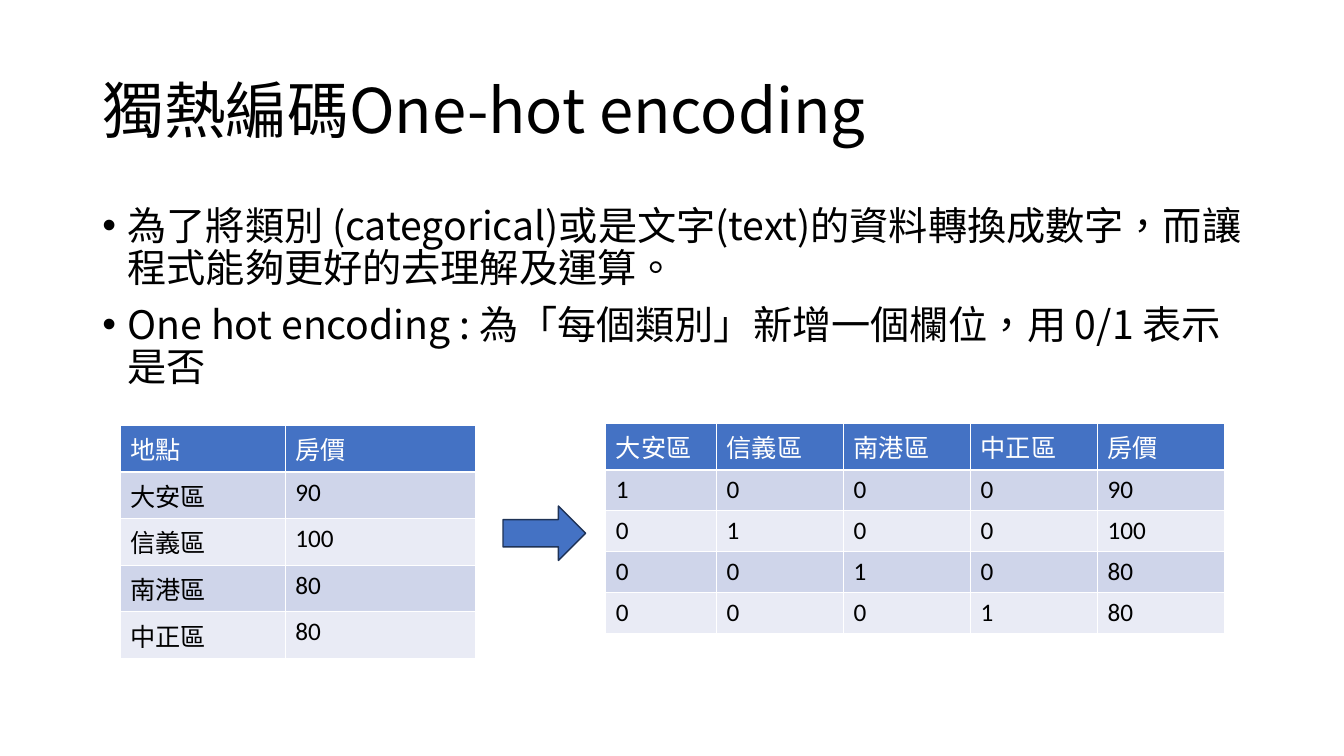
from dataclasses import dataclass

import lxml.etree
import pptx
import pptx.dml.color
import pptx.enum.shapes
import pptx.enum.text
import pptx.oxml.ns
import pptx.util

CELL = pptx.util.Inches(1 / 12)  # The slide is a grid of 160 columns and 90 rows
HEADING_FONT, TABLE_FONT = "Noto Sans CJK SC", "Calibri"
BLACK, WHITE, BLUE, NAVY = "000000", "FFFFFF", "4472C4", "1E3256"
BANDS = ("CFD5EA", "E9EBF5")
ROW_HEIGHT = 4.87

TITLE = "獨熱編碼One-hot encoding"
POINTS = (
    "為了將類別 (categorical)或是文字(text)的資料轉換成數字，而讓程式能夠更好的去理解及運算。",
    "One hot encoding : 為「每個類別」新增一個欄位，用 0/1 表示是否",
)
PRICES = {"大安區": "90", "信義區": "100", "南港區": "80", "中正區": "80"}


@dataclass(frozen=True)
class Box:
    left: float
    top: float
    width: float
    height: float


@dataclass(frozen=True)
class PriceTable:
    left: float
    top: float
    columns: list[float]
    rows: list[list[str]]


TABLES = (
    PriceTable(14.28, 50.64, [19.68, 22.68],
               [["地點", "房價"], *([place, price] for place, price in PRICES.items())]),
    PriceTable(72.12, 50.4, [13.2] + [15.12] * 4,
               [[*PRICES, "房價"]]
               + [[*("1" if column == place else "0" for column in PRICES), price]
                  for place, price in PRICES.items()]),
)


def grid(count: float) -> int:
    return round(count * CELL)


def rgb(value: str) -> pptx.dml.color.RGBColor:
    return pptx.dml.color.RGBColor.from_string(value)


def place_on_grid(sp, box: Box) -> None:
    sp.left, sp.top = grid(box.left), grid(box.top)
    sp.width, sp.height = grid(box.width), grid(box.height)


def add_run(p, text: str, size: float, font: str, color: str) -> None:
    r = p.add_run()
    r.text = text
    r.font.size = pptx.util.Pt(size)
    r.font.name = font
    r.font.bold = False
    r.font.color.rgb = rgb(color)
    props = r._r.get_or_add_rPr()
    props.set("lang", "zh-TW")
    if font == HEADING_FONT:
        latin = props.find(pptx.oxml.ns.qn("a:latin"))
        east_asian = lxml.etree.Element(pptx.oxml.ns.qn("a:ea"))
        east_asian.set("typeface", font)
        latin.addnext(east_asian)


def add_bullet(p) -> None:
    """Give the paragraph a round bullet with a quarter-inch hanging indent."""
    props = p._p.get_or_add_pPr()
    indent = pptx.util.Inches(0.25)
    props.set("marL", str(indent))
    props.set("indent", str(-indent))
    font = lxml.etree.SubElement(props, pptx.oxml.ns.qn("a:buFont"))
    font.set("typeface", "Arial")
    bullet = lxml.etree.SubElement(props, pptx.oxml.ns.qn("a:buChar"))
    bullet.set("char", "•")


def fill_title(sp) -> None:
    place_on_grid(sp, Box(11, 4.8, 138, 17.4))
    tf = sp.text_frame
    tf.auto_size = pptx.enum.text.MSO_AUTO_SIZE.NONE
    tf.vertical_anchor = pptx.enum.text.MSO_ANCHOR.MIDDLE
    p = tf.paragraphs[0]
    p.alignment = pptx.enum.text.PP_ALIGN.LEFT
    p.line_spacing = 0.9
    add_run(p, TITLE, 44, HEADING_FONT, BLACK)


def fill_body(sp) -> None:
    place_on_grid(sp, Box(11, 24, 138, 57.1))
    tf = sp.text_frame
    tf.auto_size = pptx.enum.text.MSO_AUTO_SIZE.NONE
    for index, point in enumerate(POINTS):
        p = tf.add_paragraph() if index else tf.paragraphs[0]
        add_bullet(p)
        p.line_spacing = 0.9
        p.space_before = pptx.util.Pt(10 if index else 0)
        add_run(p, point, 28, HEADING_FONT, BLACK)


def add_price_table(s, spec: PriceTable) -> None:
    table = s.shapes.add_table(
        len(spec.rows), len(spec.columns), grid(spec.left), grid(spec.top),
        grid(sum(spec.columns)), grid(ROW_HEIGHT * len(spec.rows))).table
    for column, width in zip(table.columns, spec.columns):
        column.width = grid(width)
    for i, values in enumerate(spec.rows):
        table.rows[i].height = grid(ROW_HEIGHT)
        for j, value in enumerate(values):
            cell = table.cell(i, j)
            cell.fill.solid()
            cell.fill.fore_color.rgb = rgb(BANDS[(i - 1) % 2] if i else BLUE)
            add_run(cell.text_frame.paragraphs[0], value, 18, TABLE_FONT,
                    BLACK if i else WHITE)


def add_arrow(s, box: Box) -> None:
    sp = s.shapes.add_shape(
        pptx.enum.shapes.MSO_SHAPE.RIGHT_ARROW,
        grid(box.left), grid(box.top), grid(box.width), grid(box.height))
    sp.shadow.inherit = False
    sp.fill.solid()
    sp.fill.fore_color.rgb = rgb(BLUE)
    sp.line.color.rgb = rgb(NAVY)
    sp.line.width = pptx.util.Pt(1)


def main() -> None:
    prs = pptx.Presentation()
    prs.slide_width, prs.slide_height = grid(160), grid(90)
    s = prs.slides.add_slide(prs.slide_layouts[1])
    fill_title(s.shapes.title)
    fill_body(s.placeholders[1])
    for table in TABLES:
        add_price_table(s, table)
    add_arrow(s, Box(59.88, 60.24, 9.84, 6.48))
    prs.save("out.pptx")


if __name__ == "__main__":
    main()
